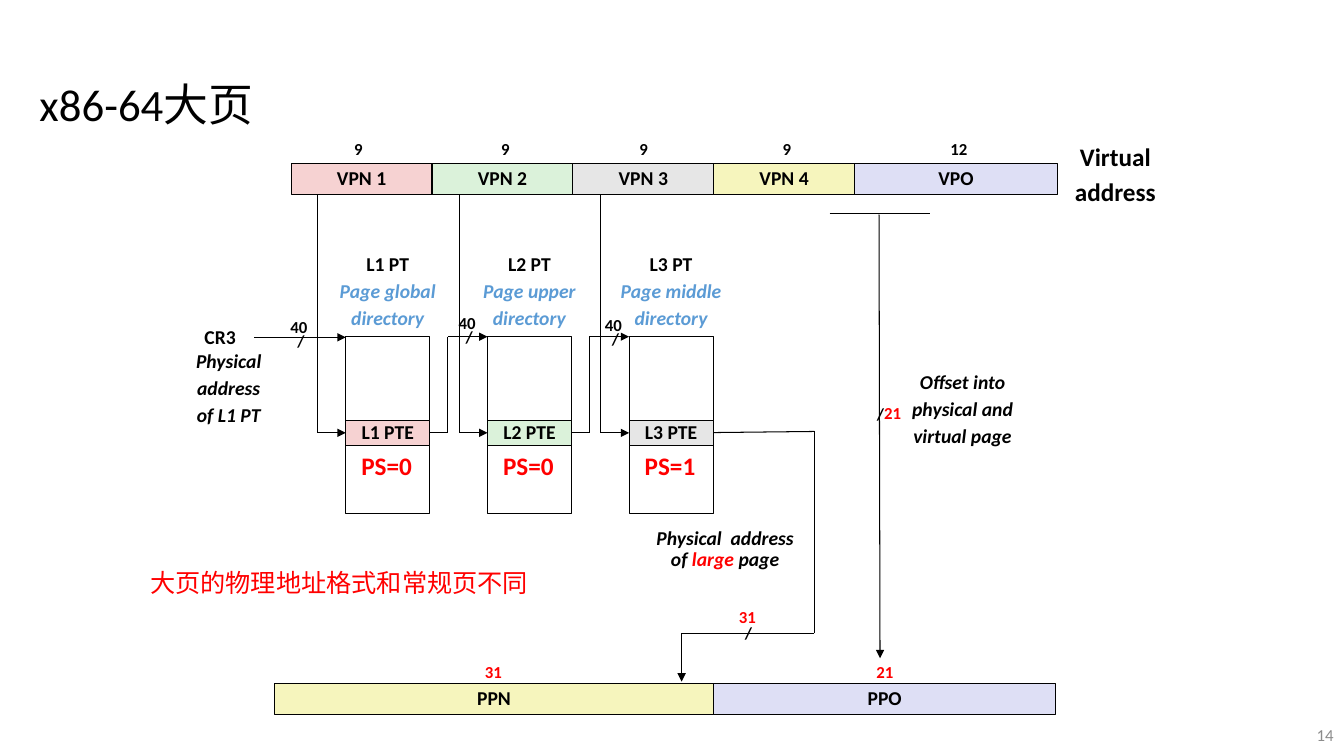
"""Build the slide on large-page address translation in x86-64."""
from dataclasses import dataclass
from itertools import pairwise

from lxml.etree import SubElement
from pptx import Presentation
from pptx.dml.color import RGBColor
from pptx.enum.shapes import MSO_CONNECTOR, MSO_SHAPE
from pptx.enum.text import MSO_ANCHOR, MSO_AUTO_SIZE, PP_ALIGN
from pptx.oxml.ns import qn
from pptx.util import Pt


@dataclass(frozen=True)
class Theme:
    latin: str = "Calibri"
    chinese: str = "Noto Sans CJK SC"
    ink: str = "000000"
    accent: str = "FF0000"
    directory: str = "5B9BD5"
    muted: str = "8C8C8C"
    paper: str = "FFFFFF"
    pink: str = "F6D2D2"
    green: str = "DBF2DA"
    grey: str = "E6E6E6"
    yellow: str = "F6F5BD"
    lilac: str = "DEDFF5"
    title: float = 32
    heading: float = 18
    body: float = 14
    small: float = 12
    stroke: float = 0.75


THEME = Theme()


def write(frame, *paragraphs, size=THEME.body, color=THEME.ink, bold=True,
          italic=False, align=PP_ALIGN.CENTER, spacing=0.9, gap=4.2,
          anchor=MSO_ANCHOR.TOP, wrap=False):
    """Fill a frame with paragraphs, each a string or a list of (text, overrides)."""
    frame.word_wrap = wrap
    frame.auto_size = MSO_AUTO_SIZE.NONE
    frame.vertical_anchor = anchor
    for index, content in enumerate(paragraphs):
        paragraph = frame.add_paragraph() if index else frame.paragraphs[0]
        paragraph.alignment = align
        paragraph.line_spacing = spacing
        paragraph.space_before = Pt(gap if index else 0)
        pieces = [(content, {})] if isinstance(content, str) else content
        for text, override in pieces:
            style = {"color": color, "italic": italic} | override
            run = paragraph.add_run()
            run.text = text
            run.font.size = Pt(size)
            run.font.bold = bold
            run.font.italic = style["italic"]
            run.font.color.rgb = RGBColor.from_string(style["color"])
            run.font.name = THEME.latin
            SubElement(run.font._element, qn("a:ea"), typeface=THEME.chinese)


class Diagram:
    """Draw styled elements on one slide, with lengths in points."""

    def __init__(self, presentation, theme):
        self.theme = theme
        self.slide = presentation.slides.add_slide(presentation.slide_layouts[5])

    def title(self, text, left, top, width, height):
        heading = self.slide.shapes.title
        heading.left, heading.top = Pt(left), Pt(top)
        heading.width, heading.height = Pt(width), Pt(height)
        write(heading.text_frame, text, size=self.theme.title, bold=False,
              align=PP_ALIGN.LEFT, spacing=1.0)

    def label(self, center, top, *paragraphs, width=100, height=22, **style):
        area = self.slide.shapes.add_textbox(
            Pt(center - width / 2), Pt(top), Pt(width), Pt(height))
        write(area.text_frame, *paragraphs, **style)

    def field(self, left, top, width, height, fill, text=""):
        cell = self.slide.shapes.add_shape(
            MSO_SHAPE.RECTANGLE, Pt(left), Pt(top), Pt(width), Pt(height))
        cell.shadow.inherit = False
        cell.fill.solid()
        cell.fill.fore_color.rgb = RGBColor.from_string(fill)
        cell.line.color.rgb = RGBColor.from_string(self.theme.ink)
        cell.line.width = Pt(self.theme.stroke)
        if text:
            write(cell.text_frame, text, anchor=MSO_ANCHOR.MIDDLE)

    def route(self, *points, arrow=True):
        for start, end in pairwise(points):
            line = self.slide.shapes.add_connector(
                MSO_CONNECTOR.STRAIGHT, *(Pt(value) for value in start + end))
            line.line.color.rgb = RGBColor.from_string(self.theme.ink)
            line.line.width = Pt(self.theme.stroke)
            properties = line._element.spPr
            if arrow and end == points[-1]:
                SubElement(properties.find(qn("a:ln")), qn("a:tailEnd"), type="triangle")
            SubElement(properties, qn("a:effectLst"))

    def bit_count(self, center, top, count, slash, color):
        self.label(center, top, count, size=self.theme.small, color=color)
        self.label(center + slash[0], top + slash[1], "/",
                   size=self.theme.small, spacing=1.0)


def draw_virtual_address(diagram):
    left, top, pitch, height = 208, 116.8, 100.6, 22
    fields = [
        ("VPN 1", "9", 256, pitch, THEME.pink),
        ("VPN 2", "9", 361, pitch, THEME.green),
        ("VPN 3", "9", 459.7, pitch, THEME.grey),
        ("VPN 4", "9", 562, pitch, THEME.yellow),
        ("VPO", "12", 685, 145, THEME.lilac),
    ]
    for index, (name, bits, bits_center, width, fill) in enumerate(fields):
        diagram.field(left + index * pitch, top, width, height, fill, name)
        diagram.label(bits_center, 97.5, bits, size=THEME.small)
    diagram.label(796.7, 100, "Virtual", "address", size=THEME.heading,
                  gap=5.4, height=53)


def draw_page_tables(diagram):
    first_left, pitch, width = 247, 101.2, 60
    top, height, entry_top, entry_height = 240.5, 126, 300.2, 18
    entry_middle = entry_top + entry_height / 2
    levels = [
        ("L1", "Page global", "PS=0", THEME.pink, 213.5, 224.6),
        ("L2", "Page upper", "PS=0", THEME.green, 333.7, 221.8),
        ("L3", "Page middle", "PS=1", THEME.grey, 438.1, 223.2),
    ]
    for index, (level, kind, size_flag, fill, bits_center, bits_top) in enumerate(levels):
        left = first_left + index * pitch
        center = left + width / 2
        index_x, link_x = left - 20.3, left - 28.5
        blue = {"color": THEME.directory, "italic": True}
        diagram.field(left, top, width, height, THEME.paper)
        diagram.field(left, entry_top, width, entry_height, fill, f"{level} PTE")
        diagram.label(center, 178, f"{level} PT", [(kind, blue)],
                      [("directory", blue)], height=63)
        diagram.label(center - 0.8, 318, size_flag, size=THEME.heading,
                      color=THEME.accent, spacing=1.0, height=29)
        diagram.route((index_x, 139), (index_x, entry_middle), (left, entry_middle))
        if index:
            diagram.route((left - pitch + width, entry_middle),
                          (link_x, entry_middle), (link_x, top), (left, top))
        else:
            diagram.route((181.5, 241), (left, 241))
        diagram.bit_count(bits_center, bits_top, "40", (1.5, 8.2), THEME.ink)
    diagram.label(157.3, 230.4, "CR3")
    diagram.label(163.4, 247.7, "Physical", "address", "of L1 PT",
                  italic=True, height=63)


def draw_physical_address(diagram):
    left, split, right, top, height = 196, 509.8, 754, 488.2, 22
    diagram.field(left, top, split - left, height, THEME.yellow, "PPN")
    diagram.field(split, top, right - split, height, THEME.lilac, "PPO")
    for center, bits in ((352.4, "31"), (632, "21")):
        diagram.label(center, 471, bits, size=THEME.small, color=THEME.accent)

    diagram.route((509.5, 309), (581.8, 308.2), (581.8, 452.5),
                  (486.9, 452.5), (486.9, 486.8))
    diagram.bit_count(533.9, 431.3, "31", (0.7, 10), THEME.accent)
    diagram.label(518, 373.7, [("Physical  address of ", {}),
                               ("large", {"color": THEME.accent}), (" page", {})],
                  italic=True, wrap=True, width=116, height=38)

    diagram.route((592.6, 152.8), (664.6, 152.8), arrow=False)
    diagram.route((627.9, 153.4), (628.6, 470.2))
    diagram.bit_count(637.6, 285.8, "21", (-8.6, -0.7), THEME.accent)
    diagram.label(687.6, 262.8, "Offset into", "physical and", "virtual page",
                  italic=True, height=63)


def main():
    presentation = Presentation()
    presentation.slide_width, presentation.slide_height = Pt(960), Pt(540)
    diagram = Diagram(presentation, THEME)
    diagram.title("x86-64大页", 21, 51, 480, 46)
    draw_virtual_address(diagram)
    draw_page_tables(diagram)
    draw_physical_address(diagram)
    diagram.label(243.7, 401.8, "大页的物理地址格式和常规页不同", size=THEME.heading,
                  color=THEME.accent, bold=False, align=PP_ALIGN.LEFT,
                  spacing=1.0, width=287.2, height=29)
    diagram.label(851.8, 511.2, "14", size=THEME.small, color=THEME.muted,
                  bold=False, align=PP_ALIGN.RIGHT, anchor=MSO_ANCHOR.MIDDLE,
                  wrap=True, width=216, height=28.8)
    presentation.save("out.pptx")


if __name__ == "__main__":
    main()
